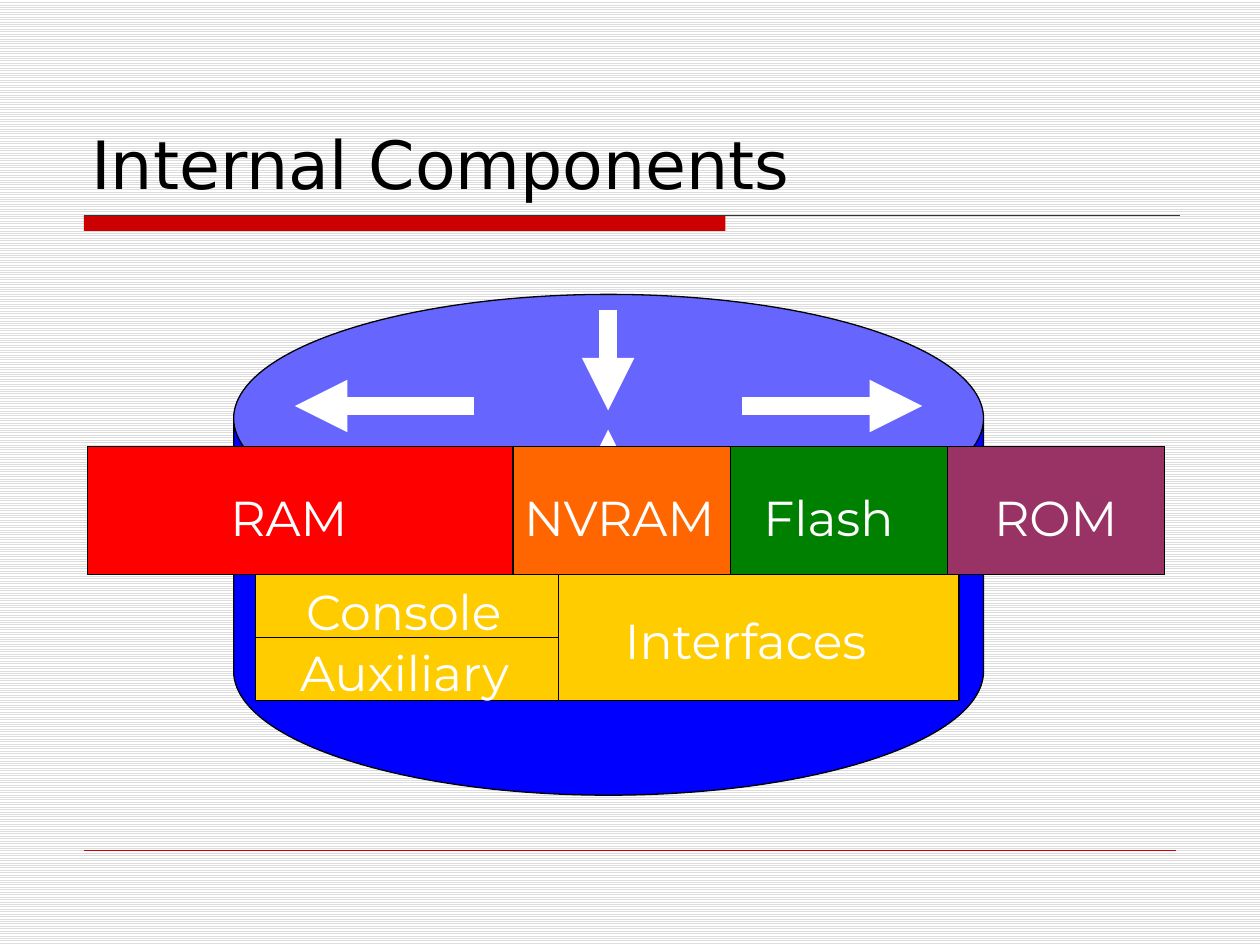
from lxml import etree
from pptx import Presentation
from pptx.dml.color import RGBColor
from pptx.enum import dml, shapes, text
from pptx.oxml import ns
from pptx.util import Pt

BLACK = RGBColor(0x00, 0x00, 0x00)
WHITE = RGBColor(0xFF, 0xFF, 0xFF)
STRIPE = RGBColor(0xDD, 0xDD, 0xDD)
CRIMSON = RGBColor(0xCC, 0x00, 0x00)
CHARCOAL = RGBColor(0x33, 0x33, 0x33)
BLUE = RGBColor(0x00, 0x00, 0xFF)
RED = RGBColor(0xFF, 0x00, 0x00)
ORANGE = RGBColor(0xFF, 0x66, 0x00)
GREEN = RGBColor(0x00, 0x80, 0x00)
PLUM = RGBColor(0x99, 0x33, 0x66)
GOLD = RGBColor(0xFF, 0xCC, 0x00)


class Deck:
    """Holds the fonts and the current slide, and draws each kind of element."""

    title_font, label_font = "DejaVu Sans", "Montserrat"
    title_size, label_size = Pt(38), Pt(28)
    label_height = 41

    def __init__(self, prs):
        self.s = prs.slides.add_slide(prs.slide_layouts[5])

    def background(self, fore, back):
        fill = self.s.background.fill
        fill.patterned()
        fill.pattern = dml.MSO_PATTERN.LIGHT_HORIZONTAL
        fill.fore_color.rgb = fore
        fill.back_color.rgb = back

    def set_text(self, tf, words, font, size, color, align):
        tf.text = words
        p = tf.paragraphs[0]
        p.alignment = align
        r = p.runs[0]
        r.font.name, r.font.size, r.font.color.rgb = font, size, color

    def title(self, words, x, y, w, h):
        sp = self.s.shapes.title
        sp.left, sp.top, sp.width, sp.height = Pt(x), Pt(y), Pt(w), Pt(h)
        tf = sp.text_frame
        tf.vertical_anchor = text.MSO_ANCHOR.BOTTOM
        self.set_text(tf, words, self.title_font, self.title_size, BLACK,
                      text.PP_ALIGN.LEFT)

    def shape(self, x, y, w, h, fill, kind=shapes.MSO_SHAPE.RECTANGLE, outlined=True):
        sp = self.s.shapes.add_shape(kind, Pt(x), Pt(y), Pt(w), Pt(h))
        sp.shadow.inherit = False
        sp.fill.solid()
        sp.fill.fore_color.rgb = fill
        if outlined:
            sp.line.color.rgb = BLACK
            sp.line.width = Pt(0.75)
        else:
            sp.line.fill.background()
        return sp

    def label(self, words, x, y, w, align=text.PP_ALIGN.LEFT):
        sp = self.s.shapes.add_textbox(Pt(x), Pt(y), Pt(w), Pt(self.label_height))
        tf = sp.text_frame
        tf.word_wrap = False
        tf.auto_size = text.MSO_AUTO_SIZE.SHAPE_TO_FIT_TEXT
        self.set_text(tf, words, self.label_font, self.label_size, WHITE, align)

    def line(self, x1, y1, x2, y2, color, width, arrow=False):
        c = self.s.shapes.add_connector(
            shapes.MSO_CONNECTOR.STRAIGHT, Pt(x1), Pt(y1), Pt(x2), Pt(y2))
        c.line.color.rgb = color
        c.line.width = Pt(width)
        sp_pr = c._element.spPr
        if arrow:
            ln = sp_pr.find(ns.qn("a:ln"))
            etree.SubElement(ln, ns.qn("a:tailEnd"), type="triangle")
        etree.SubElement(sp_pr, ns.qn("a:effectLst"))


def main():
    prs = Presentation()
    prs.slide_width, prs.slide_height = Pt(720), Pt(540)
    deck = Deck(prs)
    deck.background(STRIPE, WHITE)
    deck.title("Internal Components", 45, 24, 630, 95.5)

    deck.shape(48, 123, 366.5, 9, CRIMSON, outlined=False)
    deck.line(48, 123, 674.5, 123, CHARCOAL, 0.75)
    deck.line(48, 486, 672, 486, CRIMSON, 0.25)

    router = deck.shape(133.5, 168.2, 428.5, 286.2, BLUE, shapes.MSO_SHAPE.CAN)
    router.adjustments[0] = 0.495
    for ends in (
        (271, 232, 168.5, 232),
        (424, 232, 527, 232),
        (347.5, 177, 347.5, 234.5),
        (347.5, 303, 347.5, 245.5),
    ):
        deck.line(*ends, WHITE, 10, arrow=True)

    x, memory_top, memory_height = 50.2, 255, 73.4
    for words, width, color, text_x, text_w in (
        ("RAM", 243, RED, 124.5, 84.5),
        ("NVRAM", 124.1, ORANGE, 292.5, 129.5),
        ("Flash", 124.1, GREEN, 429.2, 97),
        ("ROM", 124.1, PLUM, 561, 85.5),
    ):
        deck.shape(x, memory_top, width, memory_height, color)
        deck.label(words, text_x, 275.2, text_w)
        x += width

    port_top, port_height = memory_top + memory_height, 36
    deck.shape(317.5, port_top, 230.5, 2 * port_height, GOLD)
    deck.label("Interfaces", 350, 345.5, 171.5)
    for i, (words, text_x, text_y, text_w) in enumerate((
        ("Console", 162, 329, 137.5),
        ("Auxiliary", 156.2, 363.6, 150),
    )):
        deck.shape(146, port_top + i * port_height, 173, port_height, GOLD)
        deck.label(words, text_x, text_y, text_w, text.PP_ALIGN.CENTER)

    prs.save("out.pptx")


if __name__ == "__main__":
    main()
